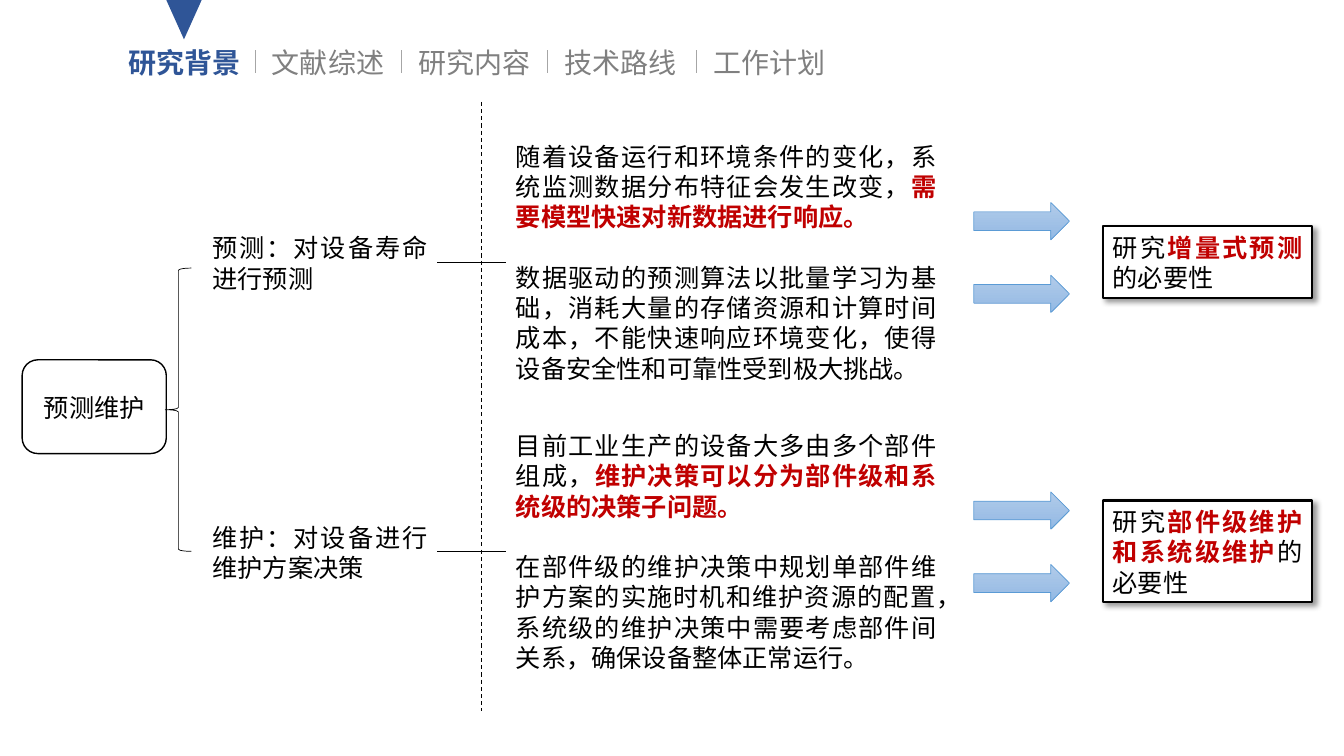
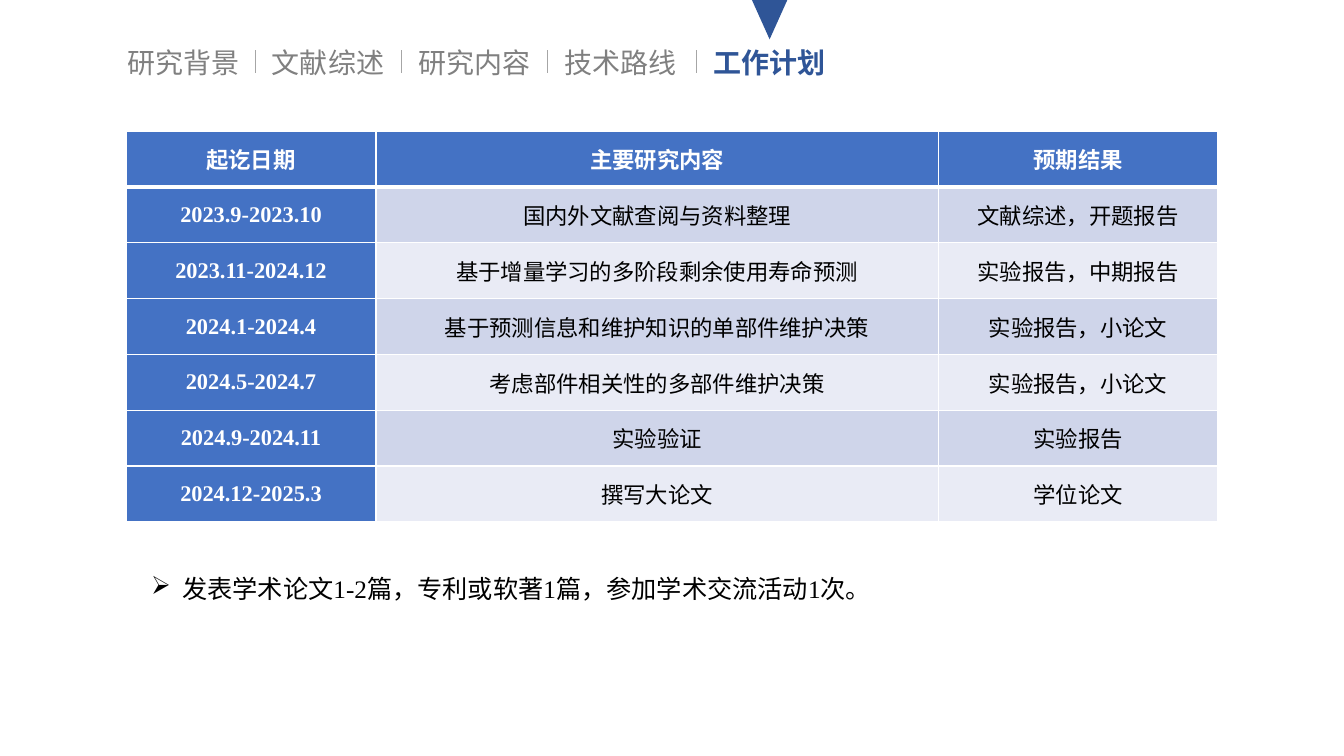
import lxml.etree
import pptx
import pptx.dml.color
import pptx.enum.dml
import pptx.enum.shapes
import pptx.enum.text
import pptx.oxml.ns
import pptx.util

CELL = 0.1  # grid step in inches; every place and size is in columns and rows
COLS, ROWS = 133.33, 75

HUES = {
    "navy": "2F5597", "grey": "808080", "rule": "A6A6A6", "ink": "000000",
    "red": "C00000", "white": "FFFFFF", "blue": "4472C4", "odd": "CFD5EA",
    "even": "E9EBF5", "pale": "B1CBE9", "sky": "93B9E4", "edge": "5B9BD5",
}
HAN, ROMAN, PLAIN = "Noto Sans CJK SC", "Times New Roman", "Calibri"
FACES = {
    "tab": ({"size": 20, "bold": False, "name": HAN}, "grey"),
    "live": ({"size": 20, "bold": True, "name": HAN}, "navy"),
    "body": ({"size": 18, "bold": False, "name": ROMAN}, "ink"),
    "key": ({"size": 18, "bold": True, "name": ROMAN}, "red"),
    "plain": ({"size": 18, "bold": False, "name": PLAIN}, "ink"),
    "head": ({"size": 16, "bold": True, "name": HAN}, "white"),
    "date": ({"size": 16, "bold": True, "name": ROMAN}, "white"),
    "cell": ({"size": 16, "bold": False, "name": ROMAN}, "ink"),
}
TABS = {"研究背景": 11.7, "文献综述": 26, "研究内容": 40.5,
        "技术路线": 55, "工作计划": 69.8}

ALIGN = pptx.enum.text.PP_ALIGN
ANCHOR = pptx.enum.text.MSO_ANCHOR
KIND = pptx.enum.shapes.MSO_SHAPE
qn = pptx.oxml.ns.qn


def grid(*cells):
    return [pptx.util.Inches(n * CELL) for n in cells]


def hue(key):
    return pptx.dml.color.RGBColor.from_string(HUES[key])


def apply(thing, values):
    for key, value in values.items():
        setattr(thing, key, value)


def node(parent, tag, **values):
    """Append an XML child with the given attributes."""
    return lxml.etree.SubElement(
        parent, qn("a:" + tag), {key: str(val) for key, val in values.items()})


class Deck:
    """The style of the deck and the slide being filled."""

    def __init__(self):
        self.file = pptx.Presentation()
        self.file.slide_width, self.file.slide_height = grid(COLS, ROWS)
        self.slide = None

    def start(self, live):
        """Add a slide whose title is the live tab of the top band."""
        self.slide = self.file.slides.add_slide(self.file.slide_layouts[5])
        for name, x in TABS.items():
            box = (x, 3.9, 13.7, 4.4)
            if name == live:
                title = self.slide.shapes.title
                apply(title, dict(zip(("left", "top", "width", "height"), grid(*box))))
                self.words(title.text_frame, [[(name, "live")]])
                mark = self.shape(KIND.ISOSCELES_TRIANGLE, (x + 4.75, -0.1, 3.6, 4), "navy")
                mark.rotation = 180
            else:
                self.text(box, [[(name, "tab")]])
        for x in list(TABS.values())[1:]:
            self.line((x - 0.7, 5), (x - 0.7, 7.2), "rule")

    def words(self, frame, paras, align=ALIGN.LEFT, anchor=ANCHOR.TOP, tight=True):
        """Fill a frame; each paragraph is a list of (text, face) runs."""
        if tight:
            apply(frame, {
                "word_wrap": True, "vertical_anchor": anchor,
                "auto_size": pptx.enum.text.MSO_AUTO_SIZE.NONE,
                "margin_left": pptx.util.Inches(0.1),
                "margin_right": pptx.util.Inches(0.1),
                "margin_top": pptx.util.Inches(0.06),
                "margin_bottom": pptx.util.Inches(0.05)})
        for i, runs in enumerate(paras):
            para = frame.paragraphs[0] if i == 0 else frame.add_paragraph()
            para.alignment = align
            if tight:
                pitch = pptx.util.Pt(1.2 * FACES[runs[0][1]][0]["size"])
                para.line_spacing = pitch
                if i:
                    para.space_before = pitch
            for part, face in runs:
                values, color = FACES[face]
                run = para.add_run()
                run.text = part
                apply(run.font, {**values, "size": pptx.util.Pt(values["size"])})
                run.font.color.rgb = hue(color)
                node(run._r.get_or_add_rPr(), "ea", typeface=HAN)

    def text(self, box, paras, align=ALIGN.LEFT):
        item = self.slide.shapes.add_textbox(*grid(*box))
        self.words(item.text_frame, paras, align)
        return item

    def shape(self, kind, box, fill=None, edge=None, width=0.5):
        item = self.slide.shapes.add_shape(kind, *grid(*box))
        item.shadow.inherit = False
        if fill:
            item.fill.solid()
            item.fill.fore_color.rgb = hue(fill)
        else:
            item.fill.background()
        if edge:
            item.line.color.rgb = hue(edge)
            item.line.width = pptx.util.Pt(width)
        else:
            item.line.fill.background()
        return item

    def arrow(self, box):
        item = self.shape(KIND.RIGHT_ARROW, box, edge="edge")
        item.fill.gradient()
        item.fill.gradient_angle = 270
        for stop, key in zip(item.fill.gradient_stops, ("pale", "sky")):
            stop.color.rgb = hue(key)

    def card(self, box, runs):
        """Draw a framed box with a soft shadow."""
        item = self.shape(KIND.RECTANGLE, box, "white", "ink", 1.5)
        self.words(item.text_frame, [runs], ALIGN.JUSTIFY)
        glow = node(item._element.spPr.find(qn("a:effectLst")), "outerShdw",
                    blurRad=pptx.util.Pt(4), dist=pptx.util.Pt(3),
                    dir=45 * 60000, algn="tl", rotWithShape=0)
        node(node(glow, "srgbClr", val=HUES["ink"]), "alpha", val=40000)

    def line(self, start, end, color="ink", width=0.5, dash=False):
        item = self.slide.shapes.add_connector(
            pptx.enum.shapes.MSO_CONNECTOR.STRAIGHT, *grid(*start, *end))
        item.line.color.rgb = hue(color)
        item.line.width = pptx.util.Pt(width)
        if dash:
            item.line.dash_style = pptx.enum.dml.MSO_LINE.DASH
        node(item._element.spPr, "effectLst")
        return item

    def join(self, first, second):
        """Link the right side of one box to the left side of the next."""
        item = self.line((0, 0), (1, 1))
        item.begin_connect(first, 3)
        item.end_connect(second, 1)

    def bullet(self, box, line, mark):
        item = self.text(box, [[(line, "body")]])
        gap = pptx.util.Inches(0.31)
        props = item.text_frame.paragraphs[0]._p.get_or_add_pPr()
        for key, value in {"marL": gap, "indent": -gap}.items():
            props.set(key, str(value))
        node(props, "buChar", char=mark)

    def border(self, cell, row):
        """Draw white cell edges, thick between the head and the first row."""
        props = cell._tc.get_or_add_tcPr()
        thick = {"lnT": row == 1, "lnB": row == 0}
        for i, side in enumerate(("lnL", "lnR", "lnT", "lnB")):
            width = pptx.util.Pt(3 if thick.get(side) else 1)
            edge = node(props, side, w=width)
            node(node(edge, "solidFill"), "srgbClr", val=HUES["white"])
            props.insert(i, edge)

    def table(self, x, y, widths, high, rows):
        table = self.slide.shapes.add_table(
            len(rows), len(widths), *grid(x, y, sum(widths), high * len(rows))).table
        for col, wide in zip(table.columns, grid(*widths)):
            col.width = wide
        side = pptx.util.Inches(0.07)
        for r, row in enumerate(rows):
            table.rows[r].height = grid(high)[0]
            for c, entry in enumerate(row):
                cell = table.cell(r, c)
                face = "head" if r == 0 else "cell" if c else "date"
                fill = "blue" if r == 0 or c == 0 else "odd" if r % 2 else "even"
                apply(cell, {"vertical_anchor": ANCHOR.MIDDLE, "margin_top": 0,
                             "margin_bottom": 0, "margin_left": side,
                             "margin_right": side})
                cell.fill.solid()
                cell.fill.fore_color.rgb = hue(fill)
                self.border(cell, r)
                self.words(cell.text_frame, [[(entry, face)]], ALIGN.CENTER, tight=False)


BRANCHES = [
    (26, "预测：对设备寿命进行预测",
     [[("随着设备运行和环境条件的变化，系统监测数据分布特征会发生改变，", "body"),
       ("需要模型快速对新数据进行响应。", "key")],
      [("数据驱动的预测算法以批量学习为基础，消耗大量的存储资源和计算时间成本，"
        "不能快速响应环境变化，使得设备安全性和可靠性受到极大挑战。", "body")]],
     7.1, "增量式预测"),
    (54.7, "维护：对设备进行维护方案决策",
     [[("目前工业生产的设备大多由多个部件组成，", "body"),
       ("维护决策可以分为部件级和系统级的决策子问题。", "key")],
      [("在部件级的维护决策中规划单部件维护方案的实施时机和维护资源的配置，"
        "系统级的维护决策中需要考虑部件间关系，确保设备整体正常运行。", "body")]],
     10.1, "部件级维护和系统级维护"),
]

PLAN = [
    ("起讫日期", "主要研究内容", "预期结果"),
    ("2023.9-2023.10", "国内外文献查阅与资料整理", "文献综述，开题报告"),
    ("2023.11-2024.12", "基于增量学习的多阶段剩余使用寿命预测", "实验报告，中期报告"),
    ("2024.1-2024.4", "基于预测信息和维护知识的单部件维护决策", "实验报告，小论文"),
    ("2024.5-2024.7", "考虑部件相关性的多部件维护决策", "实验报告，小论文"),
    ("2024.9-2024.11", "实验验证", "实验报告"),
    ("2024.12-2025.3", "撰写大论文", "学位论文"),
]


def reasons(deck):
    deck.start("研究背景")
    root = deck.shape(KIND.ROUNDED_RECTANGLE, (2.2, 35.7, 14.3, 9.3), "white", "ink", 1)
    deck.words(root.text_frame, [[("预测维护", "plain")]], ALIGN.CENTER, ANCHOR.MIDDLE)
    deck.shape(KIND.LEFT_BRACE, (16.4, 26.6, 2.6, 28.1), edge="ink")
    deck.line((47.8, 10.1), (47.8, 70.5), width=0.75, dash=True)
    for mid, topic, paras, high, need in BRANCHES:
        note = deck.text((20.1, mid - 3.5, 23.3, 7), [[(topic, "body")]], ALIGN.JUSTIFY)
        case = deck.text((50.2, mid - 12.6, 43.7, 25.2), paras, ALIGN.JUSTIFY)
        deck.join(note, case)
        for shift in (-5.9, 1.3):
            deck.arrow((96.6, mid + shift, 9.5, 3.7))
        deck.card((109.4, mid - high / 2, 20.8, high),
                  [("研究", "plain"), (need, "key"), ("的必要性", "plain")])


def schedule(deck):
    deck.start("工作计划")
    deck.table(12.5, 13, (24.8, 55.8, 27.7), 5.54, PLAN)
    deck.bullet((14, 56.3, 89.9, 4),
                "发表学术论文1-2篇，专利或软著1篇，参加学术交流活动1次。", "➢")


def main():
    deck = Deck()
    reasons(deck)
    schedule(deck)
    deck.file.save("out.pptx")


if __name__ == "__main__":
    main()
